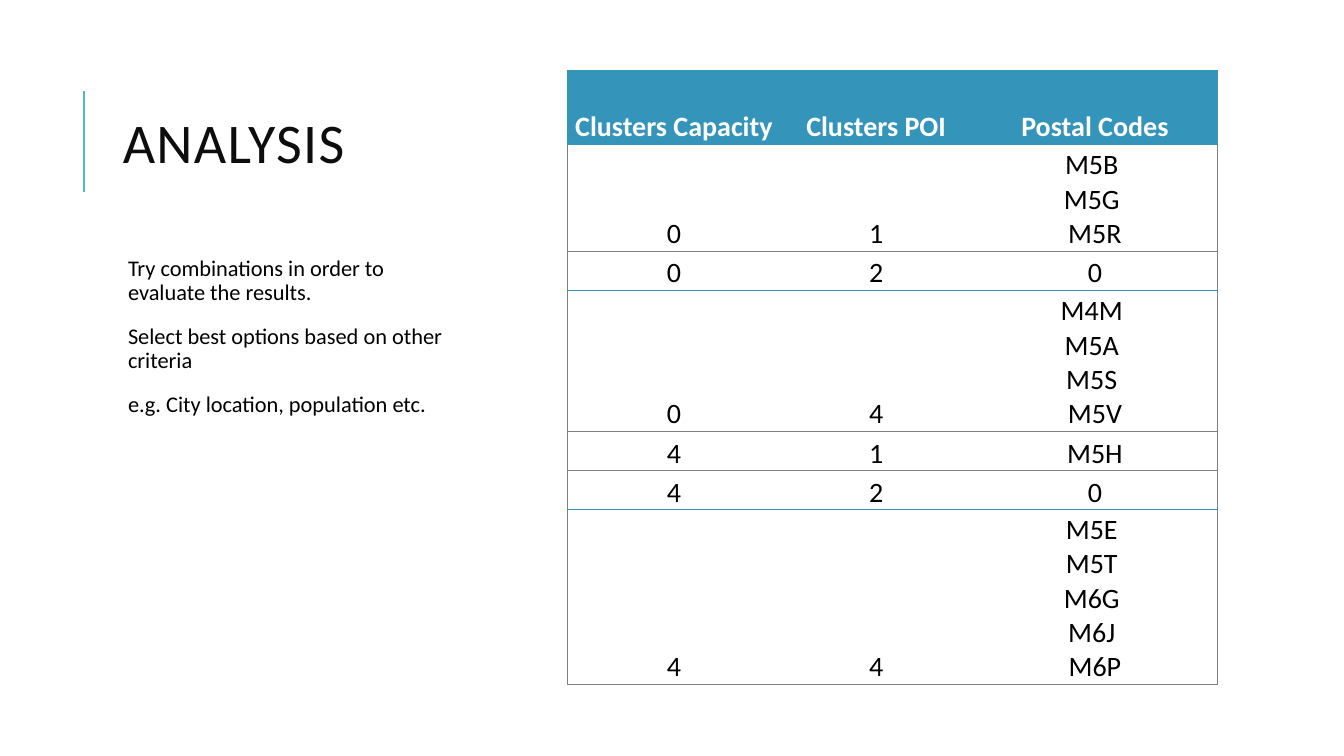
from lxml import etree
from pptx import Presentation
from pptx.dml.color import RGBColor
from pptx.enum.shapes import MSO_CONNECTOR
from pptx.enum.text import MSO_ANCHOR, PP_ALIGN
from pptx.oxml.ns import qn
from pptx.util import Pt

PX = 9144
FONT = "Calibri"
STRAIGHT = MSO_CONNECTOR.STRAIGHT
TOP, MIDDLE, BOTTOM = MSO_ANCHOR.TOP, MSO_ANCHOR.MIDDLE, MSO_ANCHOR.BOTTOM
CENTER = PP_ALIGN.CENTER
COLORS = {
    "accent": "58B6C0",
    "title": "0D0D0D",
    "text": "000000",
    "header": "3494BA",
    "header_text": "FFFFFF",
    "grid": "7F7F7F",
}
NOTES = [
    "Try combinations in order to evaluate the results.",
    "Select best options based on other criteria",
    "e.g. City location, population etc.",
]
COLUMN_WIDTHS = [211, 190, 244]
HEADINGS = ["Clusters Capacity", "Clusters POI", "Postal Codes"]
ROWS = [
    (73, HEADINGS, "header"),
    (106, ["0", "1", "M5B \nM5G \nM5R"], "grid"),
    (39, ["0", "2", "0"], "header"),
    (140, ["0", "4", "M4M \nM5A \nM5S \nM5V"], "grid"),
    (39, ["4", "1", "M5H"], "grid"),
    (39, ["4", "2", "0"], "header"),
    (173, ["4", "4", "M5E \nM5T \nM6G \nM6J \nM6P"], "grid"),
]


def px(*lengths):
    """Turn px lengths into EMU."""
    return [length * PX for length in lengths]


def color(name):
    """Look up a named colour."""
    return RGBColor.from_string(COLORS[name])


def add_run(paragraph, text, size, color_name, bold=False):
    """Add one styled run and return it."""
    run = paragraph.add_run()
    run.text = text
    run.font.name = FONT
    run.font.size = Pt(size)
    run.font.bold = bold
    run.font.color.rgb = color(color_name)
    return run


def add_text_box(slide, box, anchor, margins):
    """Add a wrapping text box and return its text frame."""
    frame = slide.shapes.add_textbox(*px(*box)).text_frame
    frame.word_wrap = True
    frame.vertical_anchor = anchor
    set_margins(frame, margins)
    return frame


def set_margins(target, margins):
    """Set left, top, right and bottom margins of a frame or cell."""
    (target.margin_left, target.margin_top,
     target.margin_right, target.margin_bottom) = px(*margins)


def add_title(slide, left, top, width, height):
    """Add the title with the accent rule at its left."""
    rule_x = left - 29
    rule = slide.shapes.add_connector(
        STRAIGHT, *px(rule_x, top + 126, rule_x, top + 26))
    rule.line.color.rgb = color("accent")
    rule.line.width = Pt(1.5)
    etree.SubElement(rule._element.spPr, qn("a:effectLst"))
    frame = add_text_box(slide, (left, top, width, height), MIDDLE, (10, 5, 10, 5))
    paragraph = frame.paragraphs[0]
    paragraph.line_spacing = 0.8
    run = add_run(paragraph, "ANALYSIS", 40, "title")
    run.font._element.set("spc", "100")


def add_notes_text(slide, left, top, width, height):
    """Add the explanatory paragraphs."""
    frame = add_text_box(slide, (left, top, width, height), TOP, (15, 5, 5, 5))
    for index, note in enumerate(NOTES):
        paragraph = frame.add_paragraph() if index else frame.paragraphs[0]
        paragraph.line_spacing = 0.9
        paragraph.space_before = Pt(12)
        paragraph.space_after = Pt(2)
        add_run(paragraph, note, 16, "text")


def set_borders(cell, borders):
    """Draw the named colour on each side, or no line for None."""
    properties = cell._tc.get_or_add_tcPr()
    for side in ("L", "R", "T", "B"):
        line = etree.SubElement(properties, qn(f"a:ln{side}"), w=str(Pt(0.75)))
        name = borders[side]
        if name:
            fill = etree.SubElement(line, qn("a:solidFill"))
            etree.SubElement(fill, qn("a:srgbClr"), val=COLORS[name])
        else:
            etree.SubElement(line, qn("a:noFill"))


def fill_cell(cell, text, is_header):
    """Write centred text at the bottom of a cell and set its fill."""
    cell.vertical_anchor = BOTTOM
    set_margins(cell, (1, 1, 1, 0))
    if is_header:
        cell.fill.solid()
        cell.fill.fore_color.rgb = color("header")
    else:
        cell.fill.background()
    paragraph = cell.text_frame.paragraphs[0]
    paragraph.alignment = CENTER
    for index, line in enumerate(text.split("\n")):
        if index:
            paragraph.add_line_break()
        add_run(paragraph, line, 20, "header_text" if is_header else "text", is_header)


def add_cluster_table(slide, left, top):
    """Add the table of cluster combinations and postal codes."""
    width, height = sum(COLUMN_WIDTHS), sum(row[0] for row in ROWS)
    last = len(COLUMN_WIDTHS) - 1
    table = slide.shapes.add_table(
        len(ROWS), len(COLUMN_WIDTHS), *px(left, top, width, height)).table
    table.first_row = table.horz_banding = False
    for column, column_width in zip(table.columns, COLUMN_WIDTHS):
        column.width = column_width * PX
    line_above = "header"
    for row_index, (row_height, texts, line_below) in enumerate(ROWS):
        table.rows[row_index].height = row_height * PX
        is_header = row_index == 0
        edge = "header" if is_header else "grid"
        for column_index, text in enumerate(texts):
            cell = table.cell(row_index, column_index)
            set_borders(cell, {
                "L": edge if column_index == 0 else None,
                "R": edge if column_index == last else None,
                "T": line_above,
                "B": line_below,
            })
            fill_cell(cell, text, is_header)
        line_above = line_below


def main():
    """Build and save the slide."""
    presentation = Presentation()
    presentation.slide_width, presentation.slide_height = px(1333, 750)
    slide = presentation.slides.add_slide(presentation.slide_layouts[6])
    add_title(slide, 112, 64, 343, 164)
    add_notes_text(slide, 112, 250, 343, 430)
    add_cluster_table(slide, 563, 70)
    presentation.save("out.pptx")


if __name__ == "__main__":
    main()
